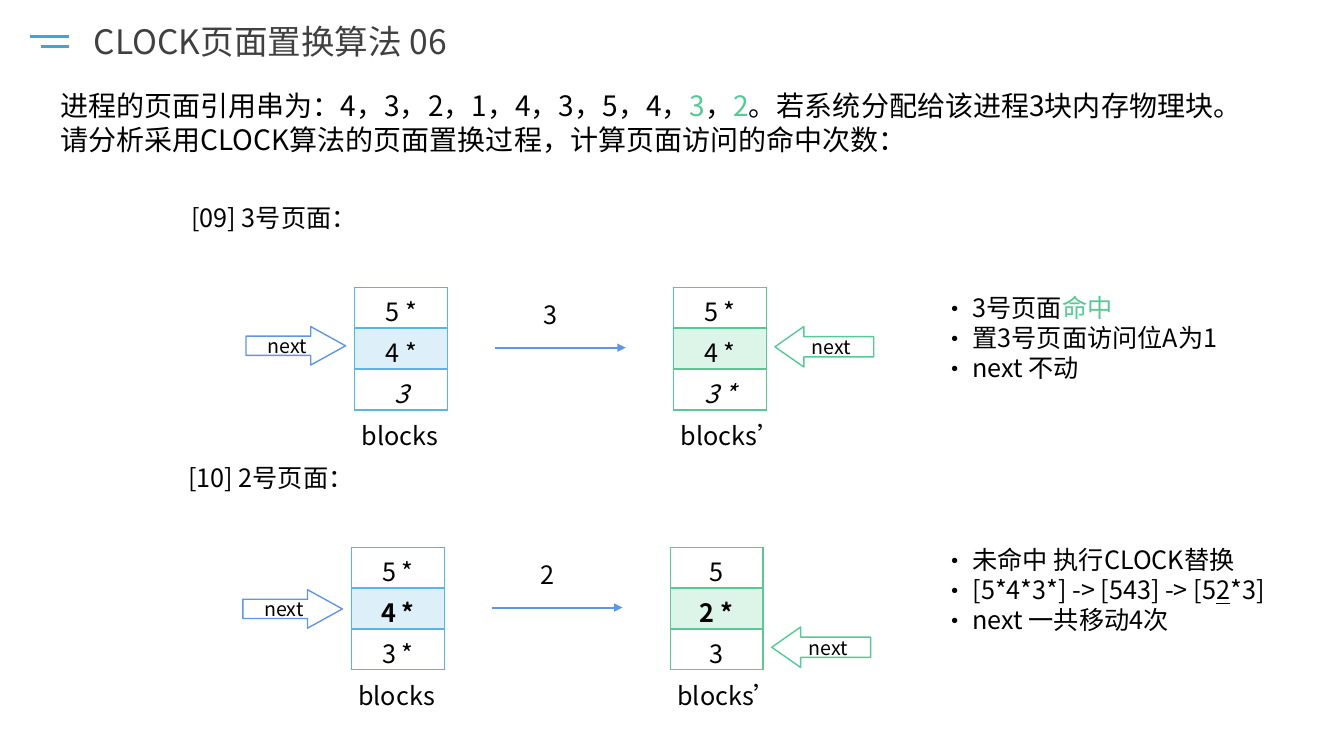
import pptx
import pptx.dml.color
import pptx.enum.shapes
import pptx.enum.text
import pptx.oxml
import pptx.oxml.ns
import pptx.util
from lxml import etree

Cm = pptx.util.Cm
Pt = pptx.util.Pt
RGBColor = pptx.dml.color.RGBColor
MSO_SHAPE = pptx.enum.shapes.MSO_SHAPE
PP_ALIGN = pptx.enum.text.PP_ALIGN
MSO_ANCHOR = pptx.enum.text.MSO_ANCHOR
qn = pptx.oxml.ns.qn

BLACK = RGBColor(0x00, 0x00, 0x00)
WHITE = RGBColor(0xFF, 0xFF, 0xFF)
GRAY = RGBColor(0x40, 0x40, 0x40)
ACCENT = RGBColor(0x3F, 0xA4, 0xDE)
SKY = RGBColor(0x58, 0xB6, 0xE5)
BLUE = RGBColor(0x60, 0x96, 0xE6)
GREEN = RGBColor(0x56, 0xCA, 0x95)


class ClockSlide:
    """Holds the slide and its style, and draws each kind of element."""

    FONT = "Noto Sans CJK SC"
    CELL_WIDTH, CELL_HEIGHT = 2.34, 1.03

    def __init__(self, deck):
        self.slide = deck.slides.add_slide(deck.slide_layouts[5])
        self.shapes = self.slide.shapes

    def style(self, paragraph, size=18, color=BLACK, align=PP_ALIGN.LEFT, bold=False, italic=False):
        paragraph.alignment = align
        font = paragraph.font
        font.name, font.size, font.bold, font.italic = self.FONT, Pt(size), bold, italic
        font.color.rgb = color
        latin = paragraph._p.pPr.find(qn("a:defRPr")).find(qn("a:latin"))
        east_asian = latin.makeelement(qn("a:ea"), {"typeface": self.FONT})
        latin.addnext(east_asian)

    def fill_text(self, frame, lines, bullets=False, **style):
        frame.word_wrap = True
        for index, parts in enumerate(lines):
            paragraph = frame.add_paragraph() if index else frame.paragraphs[0]
            for part in [parts] if isinstance(parts, str) else parts:
                words, mark = (part, None) if isinstance(part, str) else part
                run = paragraph.add_run()
                run.text = words
                if mark == "underline":
                    run.font.underline = True
                elif mark is not None:
                    run.font.color.rgb = mark
            if bullets:
                properties = paragraph._p.get_or_add_pPr()
                properties.set("marL", str(Cm(0.76)))
                properties.set("indent", str(-Cm(0.76)))
                etree.SubElement(properties, qn("a:buFont"), typeface=self.FONT)
                etree.SubElement(properties, qn("a:buChar"), char="·")
            self.style(paragraph, **style)

    def title(self, words, left, top, width, height):
        heading = self.shapes.title
        heading.left, heading.top = Cm(left), Cm(top)
        heading.width, heading.height = Cm(width), Cm(height)
        heading.text_frame.vertical_anchor = MSO_ANCHOR.TOP
        heading.text_frame.auto_size = pptx.enum.text.MSO_AUTO_SIZE.NONE
        self.fill_text(heading.text_frame, [words], size=24, color=GRAY)

    def text(self, lines, left, top, width, height=1.02, **style):
        box = self.shapes.add_textbox(Cm(left), Cm(top), Cm(width), Cm(height))
        self.fill_text(box.text_frame, lines, **style)

    def line(self, left, top, length, color, weight, arrow=False):
        connector = self.shapes.add_connector(
            pptx.enum.shapes.MSO_CONNECTOR.STRAIGHT, Cm(left), Cm(top), Cm(left + length), Cm(top))
        connector.line.color.rgb = color
        connector.line.width = Pt(weight)
        if arrow:
            outline = connector._element.spPr.find(qn("a:ln"))
            etree.SubElement(outline, qn("a:tailEnd"), type="triangle")
        etree.SubElement(connector._element.spPr, qn("a:effectLst"))

    def pointer(self, preset, left, top, width, height, head, color):
        arrow = self.shapes.add_shape(preset, Cm(left), Cm(top), Cm(width), Cm(height))
        arrow.shadow.inherit = False
        arrow.adjustments[1] = head
        arrow.fill.solid()
        arrow.fill.fore_color.rgb = WHITE
        arrow.line.color.rgb = color
        arrow.line.width = Pt(1)
        arrow.text_frame.vertical_anchor = MSO_ANCHOR.MIDDLE
        self.fill_text(arrow.text_frame, ["next"], size=14, align=PP_ALIGN.CENTER)

    def border(self, cell, side, color, weight):
        edge = etree.SubElement(cell._tc.get_or_add_tcPr(), qn("a:" + side), w=str(Pt(weight)))
        fill = etree.SubElement(edge, qn("a:solidFill"))
        etree.SubElement(fill, qn("a:srgbClr"), val=str(color))

    def blocks(self, pages, left, top, color, emphasis):
        table = self.shapes.add_table(3, 1, Cm(left), Cm(top), Cm(self.CELL_WIDTH),
                                      Cm(3 * self.CELL_HEIGHT)).table
        table.first_row = table.horz_banding = False
        for row, page in enumerate(pages):
            table.rows[row].height = Cm(self.CELL_HEIGHT)
            cell = table.cell(row, 0)
            self.fill_text(cell.text_frame, [page], align=PP_ALIGN.CENTER, **emphasis.get(row, {}))
            for side in ("lnL", "lnR", "lnT", "lnB"):
                divider = (row, side) in ((0, "lnB"), (1, "lnT"))
                self.border(cell, side, color, 2 if divider else 1)
            if row == 1:
                cell.fill.solid()
                cell.fill.fore_color.rgb = color
                tint = cell._tc.tcPr.find(qn("a:solidFill"))[0]
                etree.SubElement(tint, qn("a:alpha"), val="20000")
            else:
                cell.fill.background()

    def step(self, left, top, heading, page, before, after, emphasis, next_before, next_after,
             notes, notes_top):
        self.text([heading], left - 4.37, top - 2.26, 16.92)
        self.pointer(MSO_SHAPE.RIGHT_ARROW, left - 2.74, next_before, 2.51, 0.97, 0.906, BLUE)
        self.blocks(before, left, top, SKY, emphasis)
        self.text(["blocks"], left - 0.4, top + 3.23, 3.07, align=PP_ALIGN.CENTER)
        self.text([page], left + 4.5, top + 0.18, 2.34)
        self.line(left + 3.53, top + 1.52, 3.3, BLUE, 1.5, arrow=True)
        self.blocks(after, left + 8.03, top, GREEN, emphasis)
        self.text(["blocks’"], left + 7.96, top + 3.23, 3.07, align=PP_ALIGN.CENTER)
        self.pointer(MSO_SHAPE.LEFT_ARROW, left + 10.59, next_after, 2.49, 1.02, 0.714, GREEN)
        self.text(notes, 23.5, notes_top, 9.02, 2.57, bullets=True)


def main():
    """Build the slide and save it."""
    deck = pptx.Presentation()
    deck.slide_width, deck.slide_height = Cm(33.87), Cm(19.05)
    clock = ClockSlide(deck)
    clock.line(1.04, 1.17, 0.71, ACCENT, 2.25)
    clock.line(0.76, 0.91, 0.99, ACCENT, 2.25)
    clock.title("CLOCK页面置换算法 06", 2.11, 0.41, 10.9, 1.27)
    clock.text([
        ["进程的页面引用串为：4，3，2，1，4，3，5，4，", ("3", GREEN), "，", ("2", GREEN),
         "。若系统分配给该进程3块内存物理块。"],
        "请分析采用CLOCK算法的页面置换过程，计算页面访问的命中次数：",
    ], 1.27, 2.11, 31.57, 1.96, size=20)
    clock.step(
        8.94, 7.24, "[09] 3号页面：", "3", ("5 *", "4 *", "3"), ("5 *", "4 *", "3 *"),
        {2: {"italic": True}}, 8.23, 8.23,
        [["3号页面", ("命中", GREEN)], "置3号页面访问位A为1", "next 不动"], 7.24)
    clock.step(
        8.86, 13.79, "[10] 2号页面：", "2", ("5 *", "4 *", "3 *"), ("5", "2 *", "3"),
        {1: {"bold": True}}, 14.86, 15.8,
        ["未命中 执行CLOCK替换", ["[5*4*3*] -> [543] -> [5", ("2", "underline"), "*3]"],
         "next 一共移动4次"], 13.59)
    deck.save("out.pptx")


if __name__ == "__main__":
    main()
